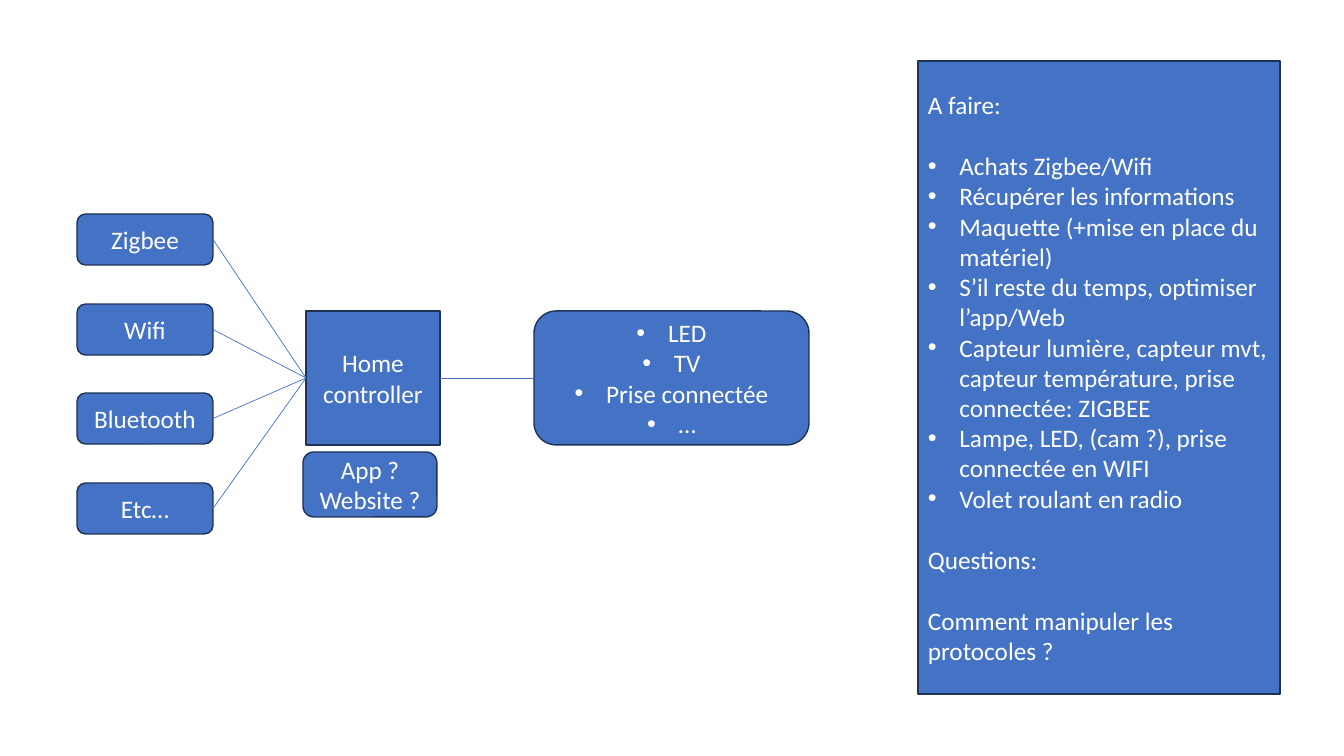
from lxml.etree import SubElement
from pptx import Presentation
from pptx.dml.color import RGBColor
from pptx.enum.shapes import MSO_CONNECTOR, MSO_SHAPE
from pptx.enum.text import MSO_ANCHOR, PP_ALIGN
from pptx.oxml.ns import qn
from pptx.util import Pt

PX = 9071  # EMU in one pixel, at 100.8 pixels to the inch
BLUE = RGBColor(0x44, 0x72, 0xC4)
NAVY = RGBColor(0x1E, 0x32, 0x56)
WHITE = RGBColor(0xFF, 0xFF, 0xFF)
LEFT_SITE, RIGHT_SITE = 1, 3
RECT, ROUNDED = MSO_SHAPE.RECTANGLE, MSO_SHAPE.ROUNDED_RECTANGLE


class Diagram:
    """Draws boxes, text and links in one style on one slide."""

    font, size, line_height, indent = "Calibri", Pt(18), Pt(22), 285750

    def __init__(self, slide):
        """Keep the slide to draw on."""
        self.slide = slide

    def box(self, kind, left, top, width, height):
        """Add a filled, outlined box measured in pixels."""
        box = self.slide.shapes.add_shape(
            kind, *(PX * length for length in (left, top, width, height)))
        box.shadow.inherit = False
        box.fill.solid()
        box.fill.fore_color.rgb = BLUE
        box.line.color.rgb = NAVY
        box.line.width = Pt(1)
        box.text_frame.word_wrap = True
        box.text_frame.vertical_anchor = MSO_ANCHOR.MIDDLE
        return box

    def add_lines(self, box, lines, align=PP_ALIGN.CENTER, bullet=False, gap=False):
        """Append lines to a box, with an optional gap before the first."""
        frame = box.text_frame
        for number, line in enumerate(lines):
            first = frame.paragraphs[0]
            paragraph = frame.add_paragraph() if first.runs else first
            paragraph.alignment = align
            if gap and number == 0:
                paragraph.space_before = self.line_height
            if bullet:
                self.bullet(paragraph)
            run = paragraph.add_run()
            run.text = line
            run.font.name = self.font
            run.font.size = self.size
            run.font.color.rgb = WHITE

    def bullet(self, paragraph):
        """Give a paragraph a round bullet and a hanging indent."""
        properties = paragraph._p.get_or_add_pPr()
        properties.set("marL", str(self.indent))
        properties.set("indent", str(-self.indent))
        SubElement(properties, qn("a:buFont"), typeface="Arial")
        SubElement(properties, qn("a:buChar"), char="•")

    def link(self, source, target):
        """Connect the right side of one box to the left side of another."""
        link = self.slide.shapes.add_connector(
            MSO_CONNECTOR.STRAIGHT, 0, 0, 0, 0)
        link.begin_connect(source, RIGHT_SITE)
        link.end_connect(target, LEFT_SITE)
        link.line.color.rgb = BLUE
        link.line.width = Pt(0.5)
        SubElement(link._element.spPr, qn("a:effectLst"))


deck = Presentation()
deck.slide_width, deck.slide_height = 1344 * PX, 756 * PX
diagram = Diagram(deck.slides.add_slide(deck.slide_layouts[6]))

hub = diagram.box(RECT, 306, 311, 134, 134)
diagram.add_lines(hub, ["Home controller"])

for row, name in enumerate(["Zigbee", "Wifi", "Bluetooth", "Etc…"]):
    protocol = diagram.box(ROUNDED, 77, 214 + round(89.6 * row), 136, 51)
    diagram.add_lines(protocol, [name])
    diagram.link(protocol, hub)

devices = diagram.box(ROUNDED, 534, 311, 275, 134)
diagram.add_lines(devices, ["LED", "TV", "Prise connectée", "…"], bullet=True)
diagram.link(hub, devices)

interface = diagram.box(ROUNDED, 303, 452, 134, 65)
diagram.add_lines(interface, ["App ?", "Website ?"])

todo = diagram.box(RECT, 918, 61, 362, 633)
tasks = [
    "Achats Zigbee/Wifi",
    "Récupérer les informations",
    "Maquette (+mise en place du matériel)",
    "S’il reste du temps, optimiser l’app/Web",
    "Capteur lumière, capteur mvt, capteur température, prise connectée: ZIGBEE",
    "Lampe, LED, (cam ?), prise connectée en WIFI",
    "Volet roulant en radio",
]
diagram.add_lines(todo, ["A faire:"], PP_ALIGN.LEFT)
diagram.add_lines(todo, tasks, PP_ALIGN.LEFT, bullet=True, gap=True)
for question in ["Questions:", "Comment manipuler les protocoles ?"]:
    diagram.add_lines(todo, [question], PP_ALIGN.LEFT, gap=True)

deck.save("out.pptx")
